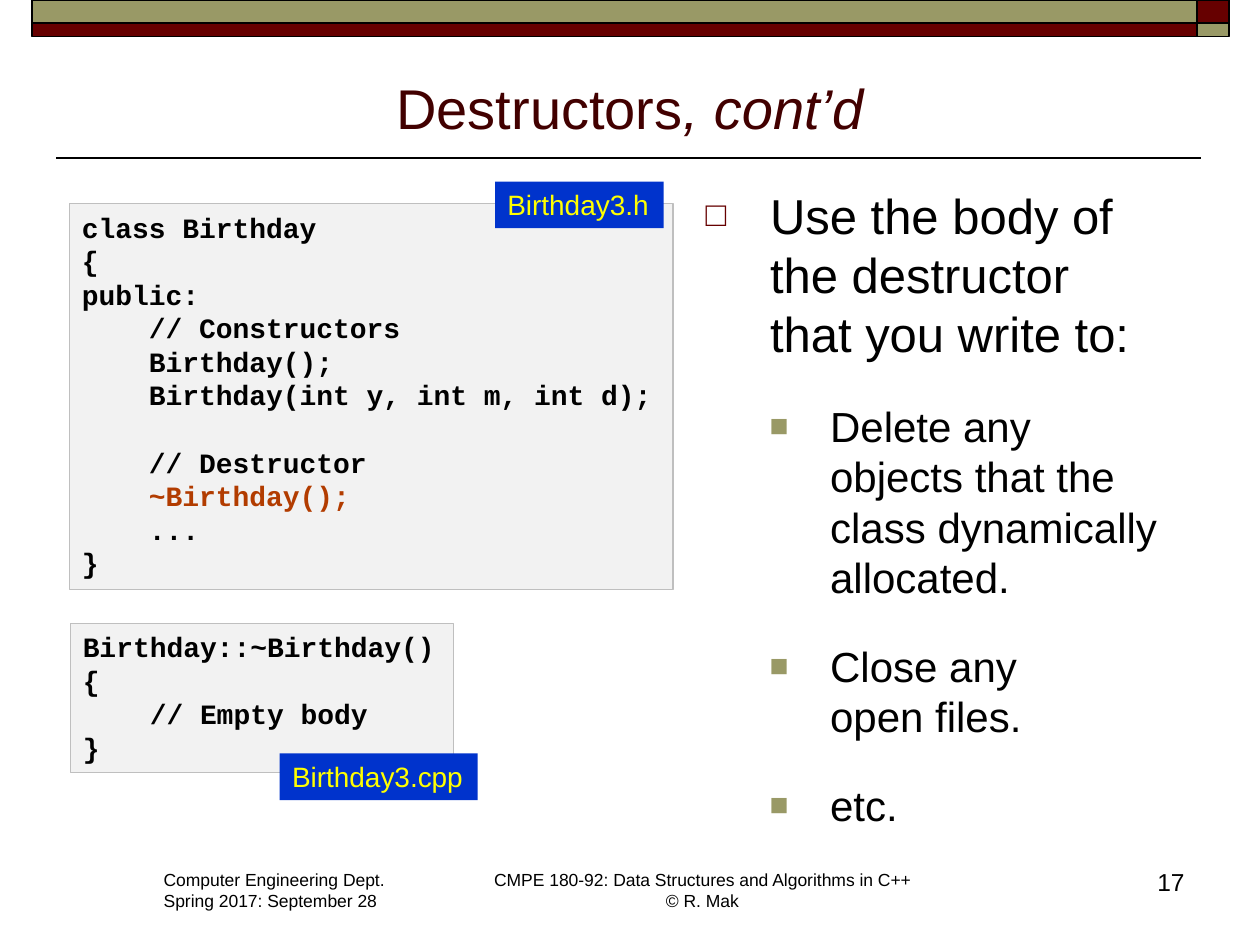
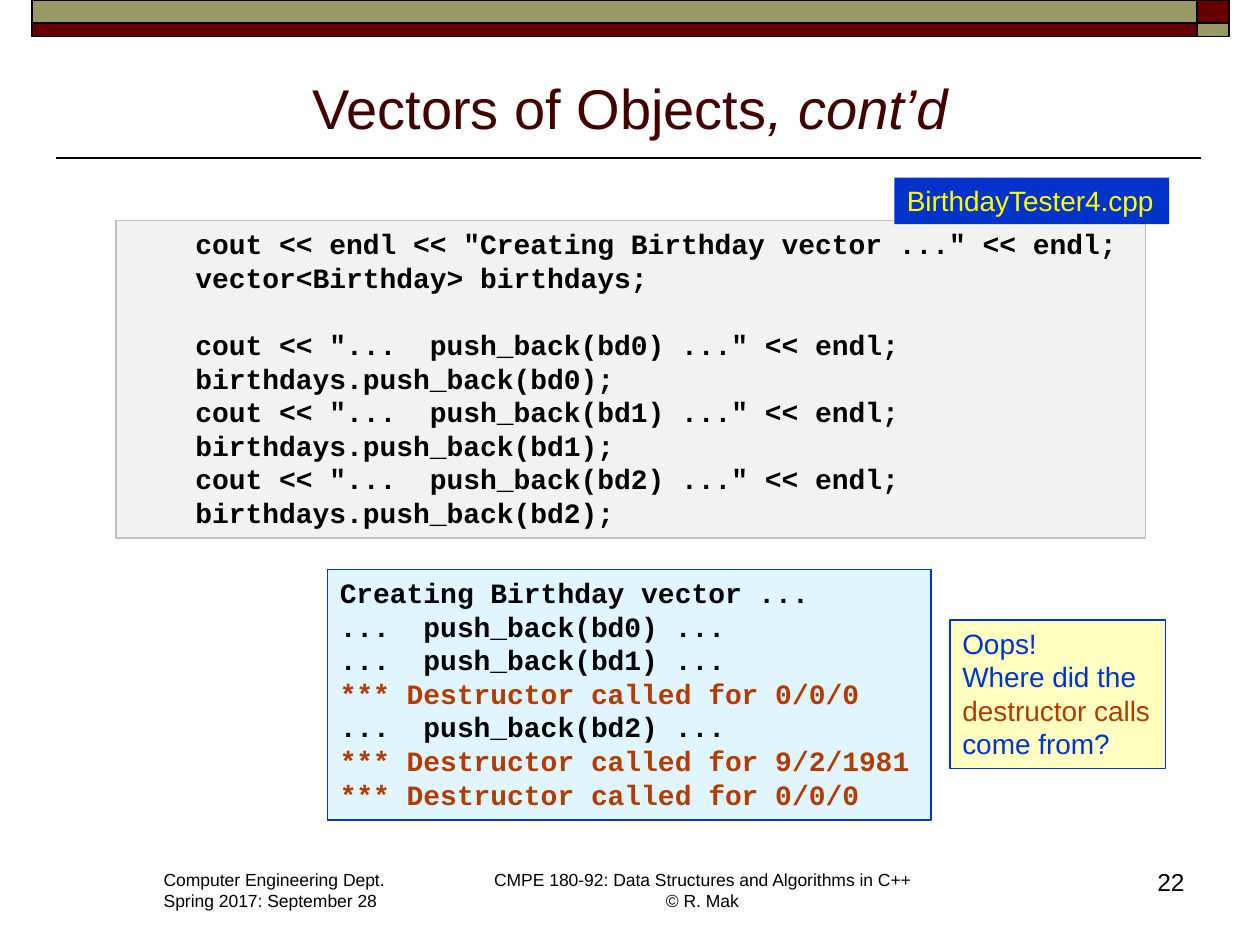
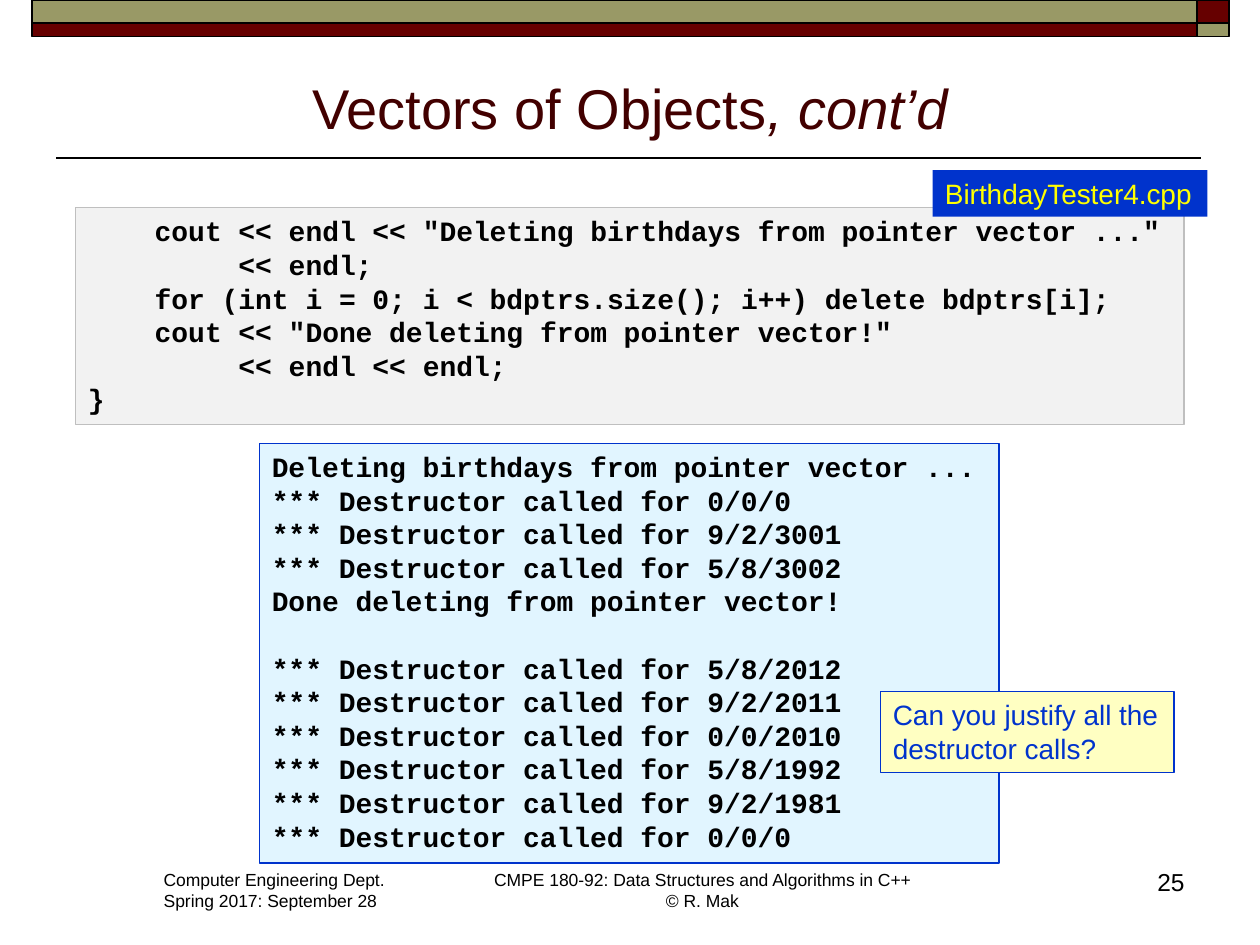
"""Builds three lecture slides about destructors and vectors of objects."""
from collections import namedtuple

from lxml import etree
from pptx import Presentation
from pptx.dml.color import RGBColor
from pptx.enum import shapes, text
from pptx.oxml import ns
from pptx.util import Cm, Pt

BLACK = RGBColor(0x00, 0x00, 0x00)
MAROON = RGBColor(0x66, 0x00, 0x00)
OLIVE = RGBColor(0x99, 0x99, 0x66)
WINE = RGBColor(0x42, 0x00, 0x00)
RUST = RGBColor(0xB2, 0x3C, 0x00)
BLUE = RGBColor(0x00, 0x33, 0xCC)
YELLOW = RGBColor(0xFF, 0xFF, 0x00)
CREAM = RGBColor(0xFF, 0xFF, 0xC2)
SKY = RGBColor(0xE1, 0xF5, 0xFF)
PALE = RGBColor(0xF2, 0xF2, 0xF2)
GREY = RGBColor(0xBF, 0xBF, 0xBF)

SANS, MONO = "Arial", "Courier New"
LEFT, MID, RIGHT = text.PP_ALIGN.LEFT, text.PP_ALIGN.CENTER, text.PP_ALIGN.RIGHT
LINE = 19.2

Look = namedtuple("Look", "fill edge ink face bold")
CODE = Look(PALE, GREY, BLACK, MONO, True)
PRINT = Look(SKY, BLUE, BLACK, MONO, True)
NOTE = Look(CREAM, BLUE, BLUE, SANS, False)
LABEL = Look(BLUE, None, YELLOW, SANS, False)

BIRTH_H = """class Birthday
{
public:
    // Constructors
    Birthday();
    Birthday(int y, int m, int d);

    // Destructor
    ~Birthday();
    ...
}"""

BIRTH_CPP = """Birthday::~Birthday()
{
    // Empty body
}"""

PUSH = """    cout << endl << "Creating Birthday vector ..." << endl;
    vector<Birthday> birthdays;

    cout << "...  push_back(bd0) ..." << endl;
    birthdays.push_back(bd0);
    cout << "...  push_back(bd1) ..." << endl;
    birthdays.push_back(bd1);
    cout << "...  push_back(bd2) ..." << endl;
    birthdays.push_back(bd2);"""

PUSHED = """Creating Birthday vector ...
...  push_back(bd0) ...
...  push_back(bd1) ...
*** Destructor called for 0/0/0
...  push_back(bd2) ...
*** Destructor called for 9/2/1981
*** Destructor called for 0/0/0"""

DELETE = """    cout << endl << "Deleting birthdays from pointer vector ..."
         << endl;
    for (int i = 0; i < bdptrs.size(); i++) delete bdptrs[i];
    cout << "Done deleting from pointer vector!"
         << endl << endl;
}"""

DELETED = """Deleting birthdays from pointer vector ...
*** Destructor called for 0/0/0
*** Destructor called for 9/2/3001
*** Destructor called for 5/8/3002
Done deleting from pointer vector!

*** Destructor called for 5/8/2012
*** Destructor called for 9/2/2011
*** Destructor called for 0/0/2010
*** Destructor called for 5/8/1992
*** Destructor called for 9/2/1981
*** Destructor called for 0/0/0"""

OOPS = """Oops!
Where did the
destructor calls
come from?"""

BODY = [
    (0, "Use the body of the destructor \vthat you write to:"),
    (1, "Delete any \vobjects that the class dynamically allocated."),
    (1, "Close any \vopen files."),
    (1, "etc."),
]


def place(shape, left, top, width, height):
    """Move and size a shape in centimetres."""
    shape.left, shape.top = Cm(left), Cm(top)
    shape.width, shape.height = Cm(width), Cm(height)


def style(para, size, ink, face=SANS, bold=False, align=LEFT):
    """Format a whole paragraph."""
    font = para.font
    font.size, font.name, font.bold = Pt(size), face, bold
    font.color.rgb = ink
    para.alignment = align


def rect(slide, at, fill, edge=None, width=0.75):
    """Add a flat rectangle."""
    shape = slide.shapes.add_shape(shapes.MSO_SHAPE.RECTANGLE, *map(Cm, at))
    shape.shadow.inherit = False
    shape.fill.solid()
    shape.fill.fore_color.rgb = fill
    if edge is None:
        shape.line.fill.background()
    else:
        shape.line.color.rgb = edge
        shape.line.width = Pt(width)
    return shape


def box(slide, look, at, words, hot=None):
    """Add a filled box of lines; those that start with hot stand out."""
    frame = rect(slide, at, look.fill, look.edge).text_frame
    frame.word_wrap = True
    frame.vertical_anchor = text.MSO_ANCHOR.TOP
    para, gap = frame.paragraphs[0], 0
    for row, line in enumerate(words.split("\n")):
        if not line:
            gap += LINE
            continue
        if row:
            para = frame.add_paragraph()
        para.text = line
        lit = hot is not None and line.strip().startswith(hot)
        style(para, 16, RUST if lit else look.ink, look.face, look.bold)
        if gap:
            para.space_before, gap = Pt(gap), 0


def label(slide, left, top, width, name):
    """Add a file name tag."""
    box(slide, LABEL, (left, top, width, 0.94), name)


def plain(slide, at, words, size, align=LEFT):
    """Add an unfilled text box."""
    shape = slide.shapes.add_textbox(*map(Cm, at))
    shape.text_frame.word_wrap = True
    para = shape.text_frame.paragraphs[0]
    para.text = words
    style(para, size, BLACK, align=align)
    return shape


def rule(slide, start, end, top):
    """Add a thin level line."""
    line = slide.shapes.add_connector(
        shapes.MSO_CONNECTOR.STRAIGHT, Cm(start), Cm(top), Cm(end), Cm(top))
    line.line.color.rgb = BLACK
    line.line.width = Pt(1)
    etree.SubElement(line.element.spPr, ns.qn("a:effectLst"))
    return line


def frame(deck, slide):
    """Draw the bands, rule and footers, and move them to the master."""
    parts = [rule(slide, 24.21, 1.12, 3.18)]
    for top, high, inks in ((0, 0.46, (OLIVE, MAROON)), (0.46, 0.28, (MAROON, OLIVE))):
        for left, wide, ink in zip((0.64, 24.13), (23.49, 0.64), inks):
            parts.append(rect(slide, (left, top, wide, high), ink, BLACK, 1))
    parts.append(plain(slide, (3.05, 17.4, 5.03, 1.12),
                       "Computer Engineering Dept.\vSpring 2017: September 28", 10))
    parts.append(plain(slide, (9.65, 17.4, 9.02, 1.12),
                       "CMPE 180-92: Data Structures and Algorithms in C++\v© R. Mak", 10, MID))
    for key, part in enumerate(parts, 100):
        part.element.xpath(".//p:cNvPr")[0].set("id", str(key))
        deck.slide_master.shapes.element.append(part.element)


def page(deck, layout, topic, number):
    """Add a slide with its title and number."""
    slide = deck.slides.add_slide(deck.slide_layouts.get_by_name(layout))
    title = slide.shapes.title
    place(title, 1.27, 1.14, 22.86, 1.83)
    title.text_frame.auto_size = text.MSO_AUTO_SIZE.NONE
    title.text_frame.vertical_anchor = text.MSO_ANCHOR.BOTTOM
    para = title.text_frame.paragraphs[0]
    para.add_run().text = topic
    tail = para.add_run()
    tail.text = ", cont’d"
    tail.font.italic = True
    style(para, 32, WINE, align=MID)
    plain(slide, (18.85, 17.35, 5.28, 1.27), str(number), 14, RIGHT)
    return slide


def bullet(para, sign, ink, size, left, hang):
    """Give a paragraph a coloured bullet and a hanging indent."""
    props = para._p.get_or_add_pPr()
    props.set("marL", str(Cm(left)))
    props.set("indent", str(-Cm(hang)))
    tint = etree.SubElement(props, ns.qn("a:buClr"))
    etree.SubElement(tint, ns.qn("a:srgbClr"), val=str(ink))
    etree.SubElement(props, ns.qn("a:buSzPct"), val=str(size * 1000))
    etree.SubElement(props, ns.qn("a:buFont"), typeface=SANS)
    etree.SubElement(props, ns.qn("a:buChar"), char=sign)


def listing(shape, items):
    """Fill the body placeholder with two levels of bullets."""
    place(shape, 13.97, 3.61, 10.16, 13.44)
    body = shape.text_frame
    body.auto_size = text.MSO_AUTO_SIZE.NONE
    for row, (level, words) in enumerate(items):
        para = body.add_paragraph() if row else body.paragraphs[0]
        para.text, para.level = words, level
        if level:
            bullet(para, "■", OLIVE, 75, 2.51, 1.22)
        else:
            bullet(para, "□", MAROON, 70, 1.3, 1.3)
        style(para, 24 if level else 28, BLACK)
        para.space_before = Pt(22 if level else 5.6)


def main():
    """Build and save the deck."""
    deck = Presentation()
    deck.slide_width, deck.slide_height = Cm(25.4), Cm(19.05)

    slide = page(deck, "Title and Content", "Destructors", 17)
    frame(deck, slide)
    box(slide, CODE, (1.4, 4.11, 12.17, 7.77), BIRTH_H, "~")
    box(slide, CODE, (1.42, 12.57, 7.72, 3), BIRTH_CPP)
    listing(slide.placeholders[1], BODY)
    label(slide, 5.64, 15.19, 3.99, "Birthday3.cpp")
    label(slide, 9.98, 3.66, 3.4, "Birthday3.h")

    slide = page(deck, "Title Only", "Vectors of Objects", 22)
    box(slide, CODE, (2.34, 4.45, 20.75, 6.4), PUSH)
    label(slide, 18.03, 3.58, 5.54, "BirthdayTester4.cpp")
    box(slide, PRINT, (6.6, 11.48, 12.17, 5.05), PUSHED, "***")
    box(slide, NOTE, (19.15, 12.5, 4.34, 3), OOPS, "destructor")

    slide = page(deck, "Title Only", "Vectors of Objects", 25)
    box(slide, CODE, (1.52, 4.19, 22.35, 4.37), DELETE)
    label(slide, 18.8, 3.43, 5.54, "BirthdayTester4.cpp")
    box(slide, PRINT, (5.23, 8.94, 14.91, 8.46), DELETED)
    box(slide, NOTE, (17.75, 13.94, 5.92, 1.63), "Can you justify all the\ndestructor calls?")

    deck.save("out.pptx")


if __name__ == "__main__":
    main()
